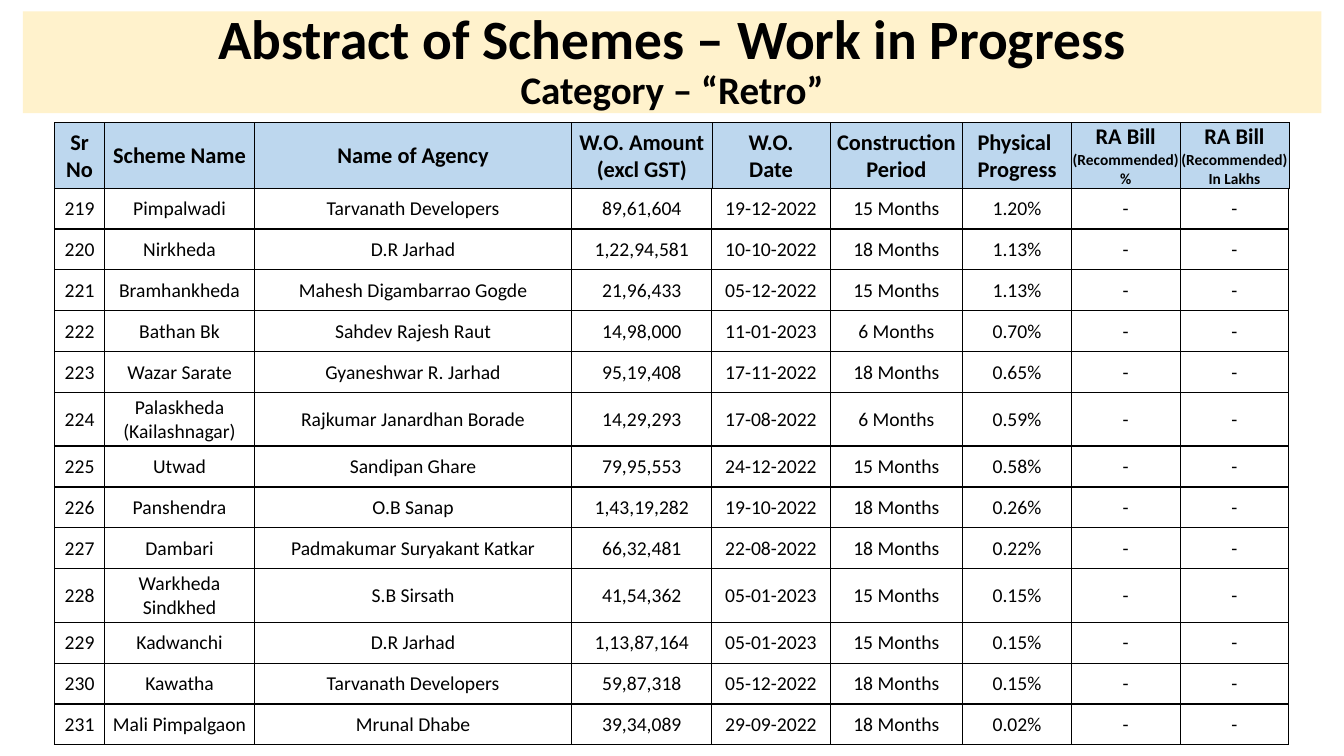
"""Build a slide listing the retro schemes in progress in one table."""
from pptx import Presentation
from pptx.dml.color import RGBColor
from pptx.enum.shapes import MSO_SHAPE
from pptx.enum.text import MSO_ANCHOR, PP_ALIGN
from pptx.oxml import parse_xml
from pptx.oxml.ns import nsdecls
from pptx.util import Cm, Pt

TITLE = [("Abstract of Schemes – Work in Progress", 39.6), ("Category – “Retro”", 27.9)]
HEADERS = [
    [("Sr No", 16)],
    [("Scheme Name", 16)],
    [("Name of Agency", 16)],
    [("W.O. Amount\v(excl GST)", 16)],
    [("W.O.\vDate", 16)],
    [("Construction\vPeriod", 16)],
    [("Physical ", 16), ("Progress", 16)],
    [("RA Bill", 16), ("(Recommended)", 11), ("%", 11)],
    [("RA Bill", 16), ("(Recommended)", 11), ("In Lakhs", 11)],
]
FIRST_NUMBER = 219
SCHEMES = [
    ("Pimpalwadi", "Tarvanath Developers", "89,61,604", "19-12-2022", "15 Months", "1.20%"),
    ("Nirkheda", "D.R Jarhad", "1,22,94,581", "10-10-2022", "18 Months", "1.13%"),
    ("Bramhankheda", "Mahesh Digambarrao Gogde", "21,96,433", "05-12-2022", "15 Months", "1.13%"),
    ("Bathan Bk", "Sahdev Rajesh Raut", "14,98,000", "11-01-2023", "6 Months", "0.70%"),
    ("Wazar Sarate", "Gyaneshwar R. Jarhad", "95,19,408", "17-11-2022", "18 Months", "0.65%"),
    ("Palaskheda (Kailashnagar)", "Rajkumar Janardhan Borade", "14,29,293", "17-08-2022",
     "6 Months", "0.59%"),
    ("Utwad", "Sandipan Ghare", "79,95,553", "24-12-2022", "15 Months", "0.58%"),
    ("Panshendra", "O.B Sanap", "1,43,19,282", "19-10-2022", "18 Months", "0.26%"),
    ("Dambari", "Padmakumar Suryakant Katkar", "66,32,481", "22-08-2022", "18 Months", "0.22%"),
    ("Warkheda Sindkhed", "S.B Sirsath", "41,54,362", "05-01-2023", "15 Months", "0.15%"),
    ("Kadwanchi", "D.R Jarhad", "1,13,87,164", "05-01-2023", "15 Months", "0.15%"),
    ("Kawatha", "Tarvanath Developers", "59,87,318", "05-12-2022", "18 Months", "0.15%"),
    ("Mali Pimpalgaon", "Mrunal Dhabe", "39,34,089", "29-09-2022", "18 Months", "0.02%"),
]
COLUMN_WIDTHS = [1.27, 3.77, 8, 3.53, 2.98, 3.34, 2.74, 2.74, 2.74]
TABLE_LEFT, HEADER_TOP, BODY_TOP = 1.37, 3.09, 4.74
HEADER_HEIGHT, ROW_HEIGHT, TALL_ROW_HEIGHT = 1.65, 1.03, 1.35
TWO_LINE_SCHEMES = {"Palaskheda (Kailashnagar)", "Warkheda Sindkhed"}
FONT, BLACK, BANNER, HEADER_BLUE = "Calibri", "000000", "FFF2CC", "BDD7EE"


def color(value):
    return RGBColor.from_string(value)


def style_font(font, size, bold):
    font.name, font.size, font.bold = FONT, Pt(size), bold
    font.color.rgb = color(BLACK)


def add_borders(cell, widths):
    properties = cell._tc.get_or_add_tcPr()
    for side, width in zip("LRTB", widths):
        properties.append(parse_xml(
            f'<a:ln{side} {nsdecls("a")} w="{Pt(width)}"><a:solidFill>'
            f'<a:srgbClr val="{BLACK}"/></a:solidFill></a:ln{side}>'))


def fill_cell(cell, lines, bold, borders, fill):
    cell.margin_left = cell.margin_right = cell.margin_top = Cm(0.02)
    cell.margin_bottom = 0
    cell.vertical_anchor = MSO_ANCHOR.MIDDLE
    add_borders(cell, borders)
    if fill:
        cell.fill.solid()
        cell.fill.fore_color.rgb = color(fill)
    else:
        cell.fill.background()
    cell.text = "\n".join(text for text, size in lines)
    for paragraph, (text, size) in zip(cell.text_frame.paragraphs, lines):
        paragraph.alignment = PP_ALIGN.CENTER
        style_font(paragraph.font, size, bold)


def add_grid(slide, top, heights, rows, bold, borders, fill=None):
    table = slide.shapes.add_table(
        len(rows), len(COLUMN_WIDTHS), Cm(TABLE_LEFT), Cm(top),
        Cm(sum(COLUMN_WIDTHS)), Cm(sum(heights))).table
    table.first_row = table.horz_banding = False
    for column, width in zip(table.columns, COLUMN_WIDTHS):
        column.width = Cm(width)
    for row, height, contents in zip(table.rows, heights, rows):
        row.height = Cm(height)
        for cell, lines in zip(row.cells, contents):
            fill_cell(cell, lines, bold, borders, fill)


def add_title(slide):
    banner = slide.shapes.add_shape(
        MSO_SHAPE.RECTANGLE, Cm(0.58), Cm(0.29), Cm(32.72), Cm(2.56))
    banner.shadow.inherit = False
    banner.fill.solid()
    banner.fill.fore_color.rgb = color(BANNER)
    banner.line.fill.background()
    frame = banner.text_frame
    frame.word_wrap = True
    frame.vertical_anchor = MSO_ANCHOR.MIDDLE
    paragraph = frame.paragraphs[0]
    paragraph.alignment = PP_ALIGN.CENTER
    paragraph.line_spacing = 0.9
    for index, (text, size) in enumerate(TITLE):
        if index:
            paragraph.add_line_break()
        run = paragraph.add_run()
        run.text = text
        style_font(run.font, size, True)


def main():
    presentation = Presentation()
    presentation.slide_width, presentation.slide_height = Cm(33.87), Cm(19.05)
    slide = presentation.slides.add_slide(presentation.slide_layouts[6])
    add_title(slide)
    add_grid(slide, HEADER_TOP, [HEADER_HEIGHT], [HEADERS], True,
             (0.5, 0.5, 0.5, 1), HEADER_BLUE)
    heights = [TALL_ROW_HEIGHT if scheme[0] in TWO_LINE_SCHEMES else ROW_HEIGHT
               for scheme in SCHEMES]
    rows = [[[(text, 14)] for text in (str(number), *scheme, "-", "-")]
            for number, scheme in enumerate(SCHEMES, FIRST_NUMBER)]
    add_grid(slide, BODY_TOP, heights, rows, False, (1, 1, 1, 1))
    presentation.save("out.pptx")


if __name__ == "__main__":
    main()
